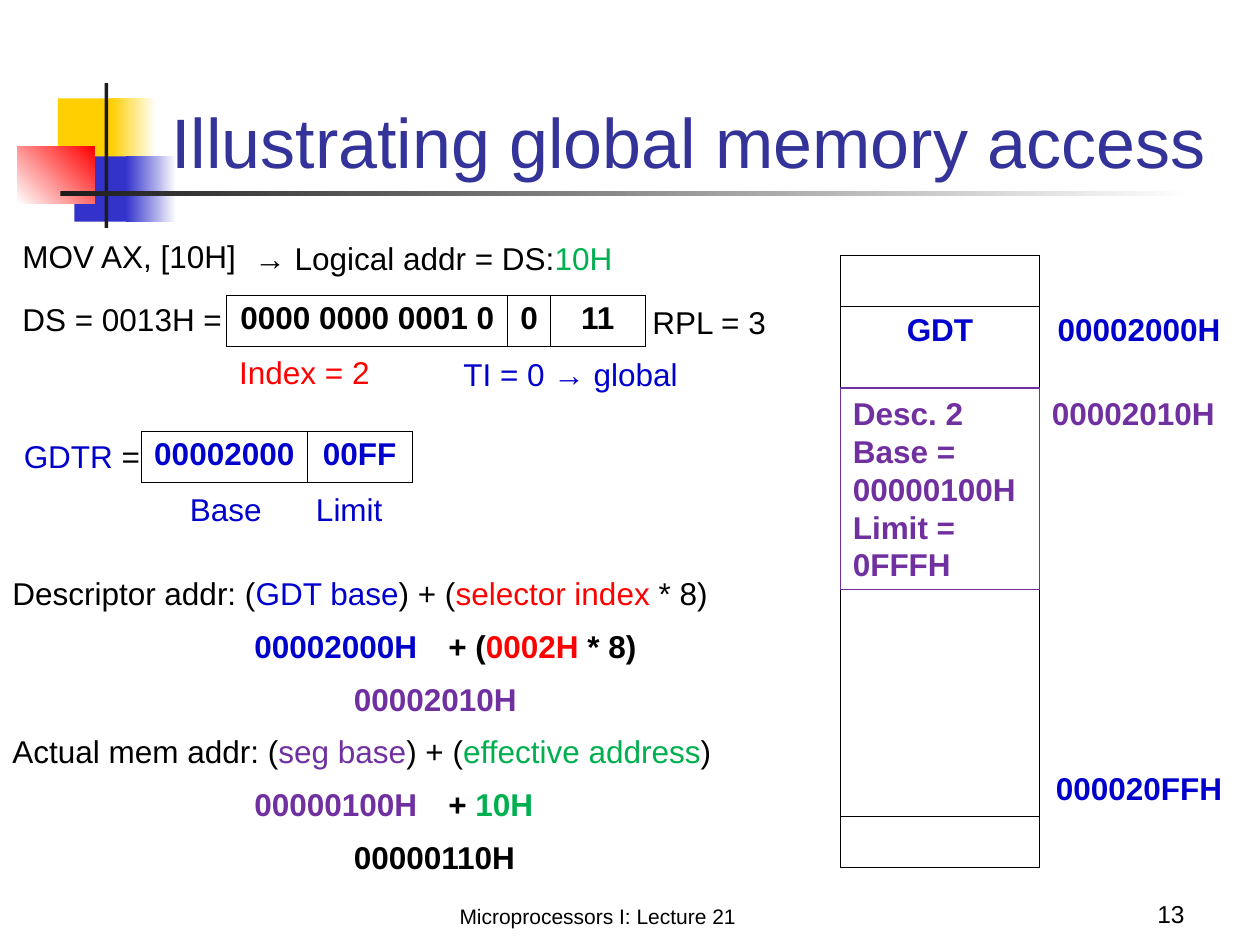
import pptx
import pptx.dml.color
import pptx.enum.shapes
import pptx.enum.text
import pptx.oxml.ns
import pptx.util
from lxml import etree

Inches = pptx.util.Inches
Pt = pptx.util.Pt
RGBColor = pptx.dml.color.RGBColor
Align = pptx.enum.text.PP_ALIGN
Anchor = pptx.enum.text.MSO_ANCHOR
qn = pptx.oxml.ns.qn

FONT = "Arial"
BLACK = RGBColor(0x00, 0x00, 0x00)
WHITE = RGBColor(0xFF, 0xFF, 0xFF)
CHARCOAL = RGBColor(0x1C, 0x1C, 0x1C)
YELLOW = RGBColor(0xFF, 0xCF, 0x01)
INDIGO = RGBColor(0x33, 0x33, 0xCC)
TITLE_BLUE = RGBColor(0x33, 0x33, 0x99)
BLUE = RGBColor(0x00, 0x00, 0xCC)
RED = RGBColor(0xFF, 0x00, 0x00)
GREEN = RGBColor(0x00, 0xB0, 0x50)
PURPLE = RGBColor(0x70, 0x30, 0xA0)

ROW_STEP = 0.42
BORDER_SIDES = {"l": "a:lnL", "r": "a:lnR", "t": "a:lnT", "b": "a:lnB"}


def add_runs(paragraph, runs, size=18, bold=False, align=Align.LEFT):
    paragraph.alignment = align
    for text, color in runs:
        run = paragraph.add_run()
        run.text = text
        run.font.name = FONT
        run.font.size = Pt(size)
        run.font.bold = bold
        run.font.color.rgb = color


def add_text(slide, left, top, width, runs, height=0.4, anchor=Anchor.TOP, **style):
    box = slide.shapes.add_textbox(
        Inches(left), Inches(top), Inches(width), Inches(height))
    box.text_frame.word_wrap = True
    box.text_frame.vertical_anchor = anchor
    add_runs(box.text_frame.paragraphs[0], runs, **style)
    return box


def add_rectangle(slide, left, top, width, height):
    shape = slide.shapes.add_shape(
        pptx.enum.shapes.MSO_SHAPE.RECTANGLE,
        Inches(left), Inches(top), Inches(width), Inches(height))
    shape.shadow.inherit = False
    return shape


def set_borders(cell, sides):
    """Draw thin black lines on the sides named by letters, none elsewhere."""
    properties = cell._tc.get_or_add_tcPr()
    for side, tag in BORDER_SIDES.items():
        line = etree.SubElement(properties, qn(tag), w=str(Pt(0.45)))
        if side in sides:
            fill = etree.SubElement(line, qn("a:solidFill"))
            etree.SubElement(fill, qn("a:srgbClr"), val=str(BLACK))
        else:
            etree.SubElement(line, qn("a:noFill"))


def add_plain_table(slide, left, top, column_widths, row_count, row_height, borders):
    """Add an unfilled table; borders(row, column) names each cell's lined sides."""
    table = slide.shapes.add_table(
        row_count, len(column_widths), Inches(left), Inches(top),
        Inches(sum(column_widths)), Inches(row_height * row_count)).table
    table.first_row = table.horz_banding = False
    for column, width in zip(table.columns, column_widths):
        column.width = Inches(width)
    for row_index, row in enumerate(table.rows):
        row.height = Inches(row_height)
        for column_index, cell in enumerate(row.cells):
            set_borders(cell, borders(row_index, column_index))
            cell.fill.background()
    return table


def fill_cell(cell, text, color):
    add_runs(cell.text_frame.paragraphs[0], [(text, color)], bold=True, align=Align.CENTER)


def add_register(slide, left, top, column_widths, values, color):
    table = add_plain_table(slide, left, top, column_widths, 1, 0.41, lambda row, column: "lrtb")
    for cell, value in zip(table.rows[0].cells, values):
        fill_cell(cell, value, color)


def add_decoration(slide, left, top):
    """Add the coloured squares and crossing bars beside the title."""
    parts = [
        (0.32, 0.12, 0.48, 0.52, YELLOW, None, 0),
        (0.74, 0.12, 0.36, 0.52, YELLOW, WHITE, 0),
        (0.45, 0.58, 0.46, 0.52, INDIGO, None, 0),
        (0.86, 0.58, 0.40, 0.52, INDIGO, WHITE, 0),
        (0, 0.50, 0.61, 0.46, WHITE, RED, 45),
        (0.69, 0, 0.03, 1.15, CHARCOAL, None, 0),
        (0.34, 0.86, 9, 0.04, CHARCOAL, WHITE, 0),
    ]
    for x, y, width, height, start, end, angle in parts:
        shape = add_rectangle(slide, left + x, top + y, width, height)
        shape.line.fill.background()
        if end is None:
            shape.fill.solid()
            shape.fill.fore_color.rgb = start
        else:
            shape.fill.gradient()
            shape.fill.gradient_angle = angle
            for stop, color in zip(shape.fill.gradient_stops, (start, end)):
                stop.color.rgb = color


def place_title(slide, left, top, width, height):
    title = slide.shapes.title
    title.left, title.top = Inches(left), Inches(top)
    title.width, title.height = Inches(width), Inches(height)
    title.text_frame.auto_size = pptx.enum.text.MSO_AUTO_SIZE.NONE
    title.text_frame.vertical_anchor = Anchor.BOTTOM
    add_runs(title.text_frame.paragraphs[0],
             [("Illustrating global memory access", TITLE_BLUE)], size=40)
    slide.shapes._spTree.append(title._element)  # in front of the decoration


def add_footer(slide, left, top, height):
    add_text(slide, left, top, 5.33, [("Microprocessors I: Lecture 21", BLACK)],
             height=height, anchor=Anchor.BOTTOM, size=12, align=Align.CENTER)
    add_text(slide, left + 5.34, top, 2.08, [("13", BLACK)],
             height=height, anchor=Anchor.BOTTOM, size=14, align=Align.RIGHT)


def add_selector(slide, left, top):
    """Add the instruction and the fields of its segment selector."""
    add_text(slide, left, top, 2, [("MOV AX, [10H]", BLACK)])
    add_text(slide, left + 1.84, top + 0.02, 3.08,
             [("→ Logical addr = DS:", BLACK), ("10H", GREEN)])
    add_text(slide, left, top + 0.5, 1.83, [("DS = 0013H =", BLACK)])
    add_register(slide, left + 1.72, top + 0.51, [2.23, 0.34, 0.75],
                 ["0000 0000 0001 0", "0", "11"], BLACK)
    add_text(slide, left + 5, top + 0.53, 1.33, [("RPL = 3", BLACK)])
    add_text(slide, left + 3.5, top + 0.94, 2.25, [("TI = 0 → global", BLUE)])
    add_text(slide, left + 1.72, top + 0.92, 1.33, [("Index = 2", RED)])


def add_table_register(slide, left, top):
    """Add the GDTR with its base and limit."""
    add_text(slide, left, top, 1.21, [("GDTR ", BLUE), ("=", BLACK)])
    add_register(slide, left + 1.03, top, [1.32, 0.83], ["00002000", "00FF"], BLUE)
    labels = add_text(slide, left + 1.04, top + ROW_STEP, 2.17, [("Base\tLimit", BLUE)])
    properties = labels.text_frame.paragraphs[0]._p.get_or_add_pPr()
    properties.set("marL", str(Inches(0.28)))
    properties.set("indent", "0")
    tabs = etree.SubElement(properties, qn("a:tabLst"))
    etree.SubElement(tabs, qn("a:tab"), pos=str(Inches(1.33)), algn="l")


def add_memory_map(slide, left, top):
    row_count, row_height = 12, 4.86 / 12
    table_rows = (1, row_count - 2)

    def borders(row, column):
        if column:
            return "l"
        top_side = "t" if row in (0, table_rows[0], row_count - 1) else ""
        bottom_side = "b" if row in (0, table_rows[1], row_count - 1) else ""
        return "lr" + top_side + bottom_side

    table = add_plain_table(slide, left, top, [1.58, 1.58], row_count, row_height, borders)
    fill_cell(table.cell(table_rows[0], 0), "GDT", BLUE)
    for row, address in zip(table_rows, ("00002000H", "000020FFH")):
        fill_cell(table.cell(row, 1), address, BLUE)

    add_text(slide, left + 1.58, top + 1.05, 1.54, [("00002010H", PURPLE)], bold=True)
    descriptor = add_rectangle(slide, left, top + 1.05, 1.58, 1.6)
    descriptor.fill.background()
    descriptor.line.color.rgb = PURPLE
    descriptor.line.width = Pt(0.75)
    frame = descriptor.text_frame
    frame.word_wrap = True
    frame.vertical_anchor = Anchor.TOP
    for index, text in enumerate(["Desc. 2", "Base = 00000100H", "Limit =", "0FFFH"]):
        paragraph = frame.add_paragraph() if index else frame.paragraphs[0]
        add_runs(paragraph, [(text, PURPLE)], bold=True)


def add_address_sum(slide, left, top, formula, base, offset, result):
    """Add a formula, its two terms below and their sum under them."""
    add_text(slide, left, top, 6, formula)
    add_text(slide, left + 1.92, top + ROW_STEP, 1.54, [base], bold=True)
    add_text(slide, left + 3.46, top + ROW_STEP, 2.04, offset, bold=True)
    add_text(slide, left + 2.71, top + 2 * ROW_STEP, 1.54, [result], bold=True)


def main():
    presentation = pptx.Presentation()
    presentation.slide_width, presentation.slide_height = Inches(10), Inches(7.5)
    slide = presentation.slides.add_slide(presentation.slide_layouts[5])
    add_decoration(slide, 0.14, 0.66)
    place_title(slide, 1.26, 0.25, 8.52, 1.25)
    add_footer(slide, 2.08, 6.92, 0.5)
    add_selector(slide, 0.08, 1.83)
    add_table_register(slide, 0.09, 3.42)
    add_memory_map(slide, 6.67, 2.03)
    add_address_sum(
        slide, 0, 4.51,
        [("Descriptor addr: (", BLACK), ("GDT base", BLUE), (") + (", BLACK),
         ("selector index ", RED), ("* 8)", BLACK)],
        ("00002000H", BLUE), [("+ (", BLACK), ("0002H", RED), (" * 8)", BLACK)],
        ("00002010H", PURPLE))
    add_address_sum(
        slide, 0, 5.76,
        [("Actual mem addr: (", BLACK), ("seg base", PURPLE), (") + (", BLACK),
         ("effective address", GREEN), (")", BLACK)],
        ("00000100H", PURPLE), [("+ ", BLACK), ("10H", GREEN)],
        ("00000110H", BLACK))
    presentation.save("out.pptx")


if __name__ == "__main__":
    main()
